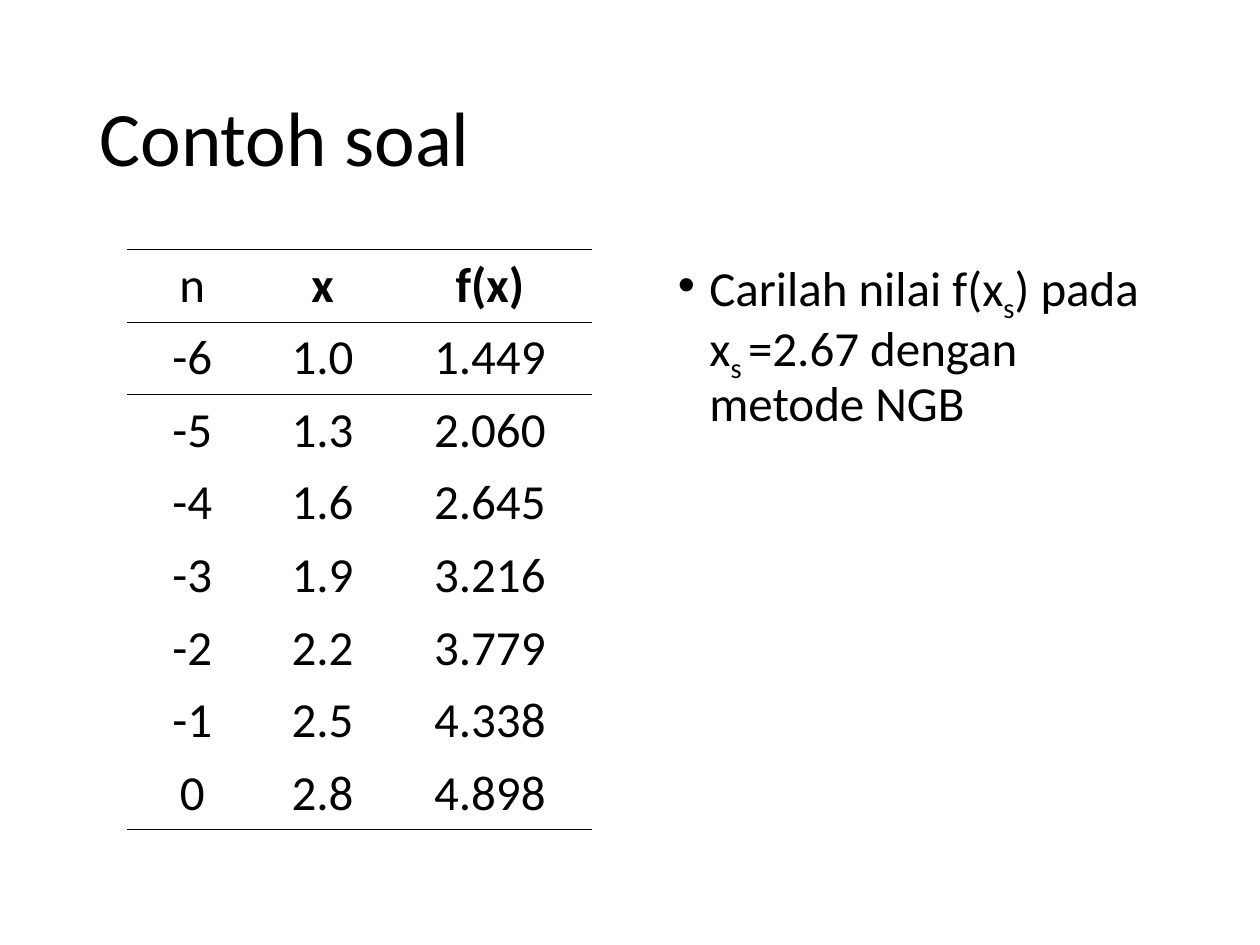
from lxml import etree
from pptx import Presentation, util as u
from pptx.dml.color import RGBColor
from pptx.enum import text
from pptx.oxml import ns

BLACK = RGBColor(0x00, 0x00, 0x00)
FONT = "Calibri"
NO_GRID_STYLE = "{2D5ABB26-0587-4C30-8999-92F81FD0307C}"
HEADER = ("n", "x", "f(x)")
VALUES = [
    ("-6", "1.0", "1.449"),
    ("-5", "1.3", "2.060"),
    ("-4", "1.6", "2.645"),
    ("-3", "1.9", "3.216"),
    ("-2", "2.2", "3.779"),
    ("-1", "2.5", "4.338"),
    ("0", "2.8", "4.898"),
]
# Pieces of the question: text, is it a subscript
QUESTION = [("Carilah nilai f(x", False), ("s", True), (") pada x", False),
            ("s ", True), ("=2.67 dengan metode NGB", False)]


def add_run(p, content, size=28, bold=False, subscript=False):
    r = p.add_run()
    r.text = content
    r.font.name, r.font.size, r.font.bold = FONT, u.Pt(size), bold
    r.font.color.rgb = BLACK
    if subscript:
        r.font._element.set("baseline", "-25000")


def place(sp, box):
    sp.left, sp.top, sp.width, sp.height = (u.Inches(v) for v in box)


def add_border(cell, side):
    tcPr = cell._tc.get_or_add_tcPr()
    ln = etree.SubElement(tcPr, ns.qn(f"a:ln{side}"), w=str(u.Pt(0.45)))
    fill = etree.SubElement(ln, ns.qn("a:solidFill"))
    etree.SubElement(fill, ns.qn("a:srgbClr"), val=str(BLACK))


def fill_title(sp, box):
    place(sp, box)
    tf = sp.text_frame
    tf.auto_size = text.MSO_AUTO_SIZE.NONE
    tf.vertical_anchor = text.MSO_ANCHOR.MIDDLE
    p = tf.paragraphs[0]
    p.alignment, p.line_spacing = text.PP_ALIGN.LEFT, 0.9
    add_run(p, "Contoh soal", size=44)


def fill_question(sp, box):
    place(sp, box)
    tf = sp.text_frame
    tf.auto_size = text.MSO_AUTO_SIZE.NONE
    p = tf.paragraphs[0]
    p.line_spacing, p.space_before = 0.9, u.Pt(0)
    pPr = p._p.get_or_add_pPr()
    pPr.set("marL", str(u.Inches(0.25)))
    pPr.set("indent", str(u.Inches(-0.25)))
    etree.SubElement(pPr, ns.qn("a:buFont"), typeface="Arial")
    etree.SubElement(pPr, ns.qn("a:buChar"), char="•")
    for content, subscript in QUESTION:
        add_run(p, content, subscript=subscript)


def add_values(s, box):
    rows = [HEADER] + VALUES
    last = len(rows) - 1
    frame = s.shapes.add_table(len(rows), len(HEADER), *(u.Inches(v) for v in box))
    table = frame.table
    table.first_row = table.horz_banding = False
    table._tbl.tblPr.find(ns.qn("a:tableStyleId")).text = NO_GRID_STYLE
    for column, share in zip(table.columns, (0.28, 0.28, 0.44)):
        column.width = u.Inches(box[2] * share)

    for i, row in enumerate(rows):
        for j, content in enumerate(row):
            cell = table.cell(i, j)
            # Rules above and below the header, and under the last row
            if i <= 1:
                add_border(cell, "T")
            if i in (0, last):
                add_border(cell, "B")
            cell.fill.background()
            p = cell.text_frame.paragraphs[0]
            p.alignment = text.PP_ALIGN.CENTER
            add_run(p, content, bold=i == 0 and j > 0)


def main():
    prs = Presentation()
    prs.slide_width, prs.slide_height = u.Inches(10), u.Inches(7.5)
    s = prs.slides.add_slide(prs.slide_layouts[1])
    fill_title(s.shapes.title, (0.69, 0.4, 8.63, 1.45))
    add_values(s, (1.01, 1.98, 3.69, 4.6))
    fill_question(s.placeholders[1], (5.28, 2, 4.03, 4.24))
    prs.save("out.pptx")


if __name__ == "__main__":
    main()
